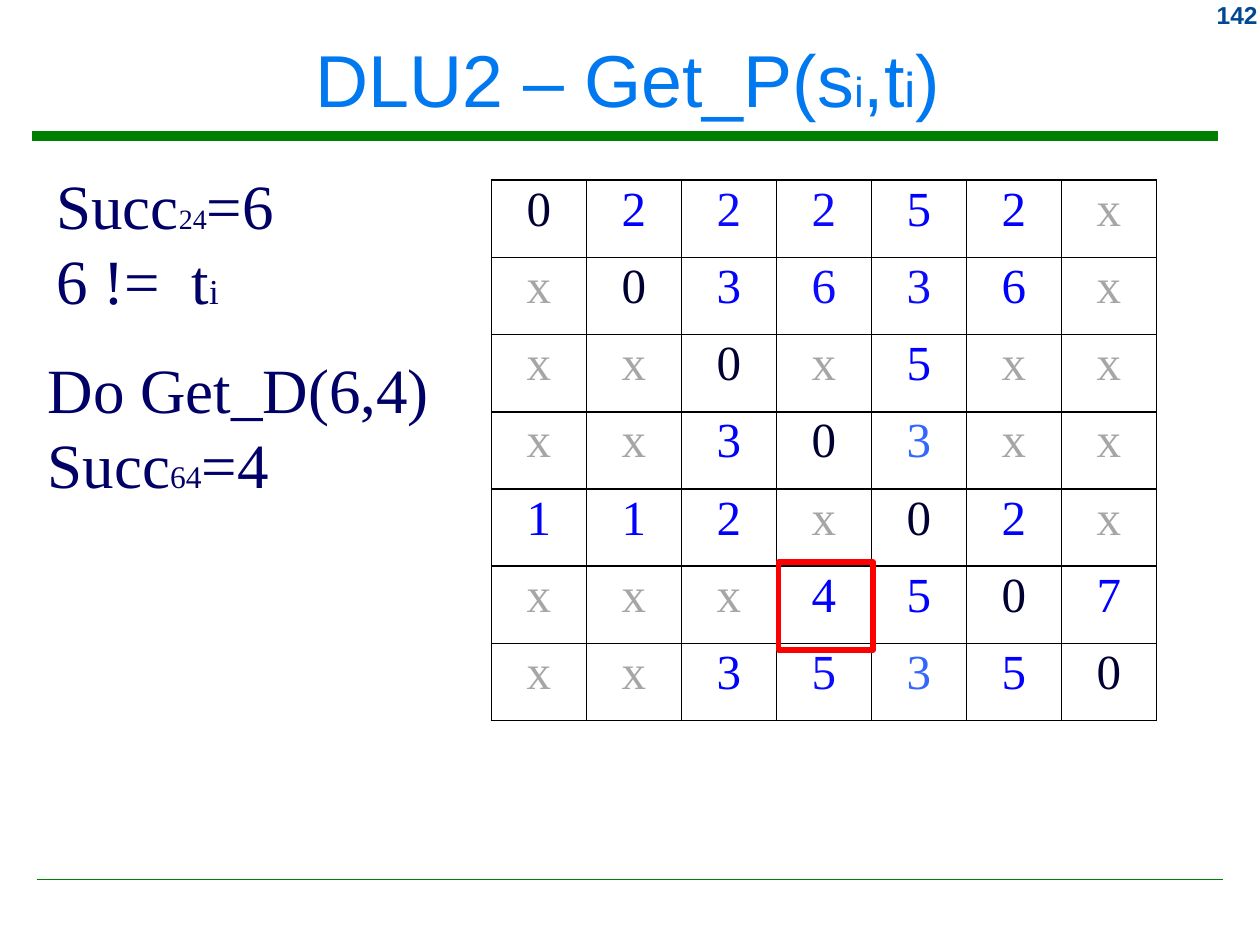
from lxml.etree import SubElement
from pptx import Presentation
from pptx.dml.color import RGBColor
from pptx.enum.shapes import MSO_CONNECTOR, MSO_SHAPE
from pptx.enum.text import MSO_ANCHOR, MSO_AUTO_SIZE, PP_ALIGN
from pptx.oxml.ns import qn
from pptx.util import Inches, Pt

COLORS = {
    "rule": "008000",
    "number": "004992",
    "title": "0078F0",
    "note": "000066",
    "diagonal": "000033",
    "successor": "0000FF",
    "shared": "0A0AFF",
    "pale": "3366FF",
    "missing": "A6A6A6",
    "border": "000000",
    "cell": "FFFFFF",
    "highlight": "FF0000",
}
SUCCESSORS = ["022252x", "x03636x", "xx0x5xx", "xx303xx", "112x02x", "xxx4507", "xx35350"]
SPECIAL = {
    (0, 2): "shared", (0, 3): "shared", (1, 3): "shared", (1, 4): "shared",
    (6, 3): "shared", (3, 4): "pale", (6, 4): "pale",
}

presentation = Presentation()
presentation.slide_width = Inches(10)
presentation.slide_height = Inches(7.5)
slide = presentation.slides.add_slide(presentation.slide_layouts[5])
shapes = slide.shapes


def box(left, top, width, height):
    across, down = presentation.slide_width, presentation.slide_height
    return [round(share * side) for share, side in
            ((left, across / 100), (top, down / 100), (width, across / 100), (height, down / 100))]


def write(paragraph, runs, font, color, align=PP_ALIGN.LEFT):
    paragraph.alignment = align
    paragraph.font.name = font
    paragraph.font.color.rgb = RGBColor.from_string(COLORS[color])
    if len(runs) == 1:
        paragraph.font.size = Pt(runs[0][1])
    for text, size in runs:
        run = paragraph.add_run()
        run.text = text
        if len(runs) > 1:
            run.font.size = Pt(size)


for left, top, weight in ((2.5, 14.4, 5.25), (2.9, 93.07, 1)):
    x, y, length, _ = box(left, top, 94.2, 0)
    rule = shapes.add_connector(MSO_CONNECTOR.STRAIGHT, x, y, x + length, y)
    rule.line.color.rgb = RGBColor.from_string(COLORS["rule"])
    rule.line.width = Pt(weight)
    SubElement(rule.element.spPr, qn("a:effectLst"))

number = shapes.add_textbox(*box(91.7, -0.67, 9.1, 4.4)).text_frame
number.word_wrap = True
write(number.paragraphs[0], [("142", 14)], "Arial", "number", PP_ALIGN.RIGHT)
number.paragraphs[0].font.bold = True

title = shapes.title
title.left, title.top, title.width, title.height = box(0.8, 1.2, 98, 14.13)
title.text_frame.vertical_anchor = MSO_ANCHOR.MIDDLE
title.text_frame.auto_size = MSO_AUTO_SIZE.NONE
write(title.text_frame.paragraphs[0],
      [("DLU2 – Get_P(s", 42), ("i", 24), (",t", 42), ("i", 28), (")", 42)],
      "Arial", "title", PP_ALIGN.CENTER)

table_left, table_top, table_width, table_height = box(39, 19.07, 52.8, 57.2)
count = len(SUCCESSORS)
table_frame = shapes.add_table(count, count, table_left, table_top, table_width, table_height)
table = table_frame.table
table.first_row = False
table.horz_banding = False
for index in range(count):
    table.columns[index].width = table_width // count
    table.rows[index].height = table_height // count
for row, values in enumerate(SUCCESSORS):
    for column, value in enumerate(values):
        cell = table.cell(row, column)
        cell.margin_left = cell.margin_right = Inches(0.05)
        cell.margin_top = cell.margin_bottom = Inches(0.02)
        properties = cell._tc.get_or_add_tcPr()
        for edge in ("a:lnL", "a:lnR", "a:lnT", "a:lnB"):
            border = SubElement(properties, qn(edge), w=str(Pt(1)))
            SubElement(SubElement(border, qn("a:solidFill")), qn("a:srgbClr"), val=COLORS["border"])
        cell.fill.solid()
        cell.fill.fore_color.rgb = RGBColor.from_string(COLORS["cell"])
        usual = {"x": "missing", "0": "diagonal"}.get(value, "successor")
        write(cell.text_frame.paragraphs[0], [(value, 28)], "Times New Roman",
              SPECIAL.get((row, column), usual), PP_ALIGN.CENTER)

highlight = shapes.add_shape(MSO_SHAPE.RECTANGLE, *box(61.8, 59.47, 7.5, 9.33))
highlight.shadow.inherit = False
highlight.fill.background()
highlight.line.color.rgb = RGBColor.from_string(COLORS["highlight"])
highlight.line.width = Pt(3)

NOTES = [
    (box(3.5, 16.93, 19.4, 17.47),
     [[("Succ", 36), ("24", 16), ("=6", 36)], [("6 !=  t", 36), ("i", 20)]]),
    (box(2.8, 36.4, 32.6, 17.47),
     [[("Do Get_D(6,4)", 36)], [("Succ", 36), ("64", 18), ("=4", 36)]]),
]
for place, lines in NOTES:
    note = shapes.add_textbox(*place).text_frame
    note.word_wrap = False
    note.auto_size = MSO_AUTO_SIZE.SHAPE_TO_FIT_TEXT
    for position, runs in enumerate(lines):
        paragraph = note.add_paragraph() if position else note.paragraphs[0]
        write(paragraph, runs, "Times New Roman", "note")

presentation.save("out.pptx")
